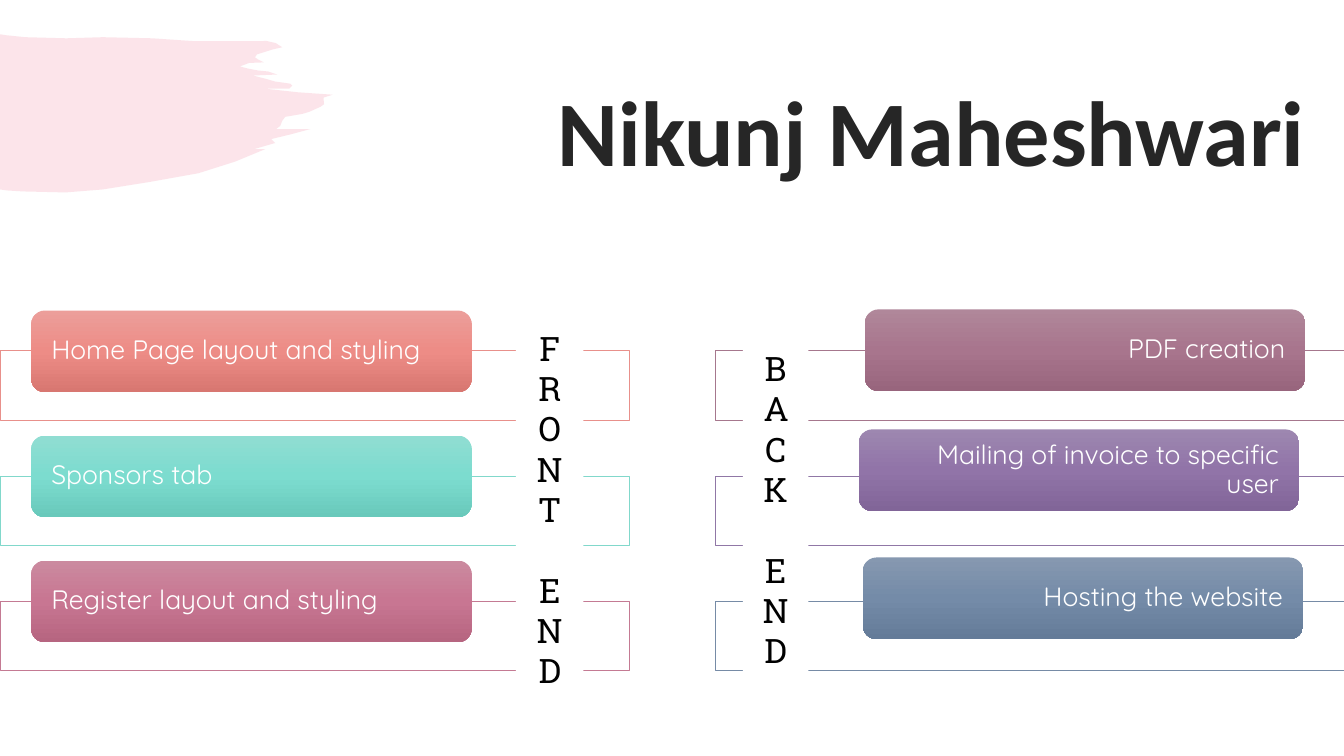
import copy

import lxml.etree
import pptx
import pptx.dml.color
import pptx.enum.shapes
import pptx.enum.text
import pptx.oxml.ns
import pptx.util

Pt = pptx.util.Pt
SHAPE = pptx.enum.shapes.MSO_SHAPE
ALIGN = pptx.enum.text.PP_ALIGN
ANCHOR = pptx.enum.text.MSO_ANCHOR
qn = pptx.oxml.ns.qn

# Content
TITLE = "Nikunj Maheshwari"

# Each side: frame left, alignment, then cards as
# (text, card left, card top, frame line, gradient from top to bottom)
SIDES = [
    (0, ALIGN.LEFT, [
        ("Home Page layout and styling", 22.3, 221.8, "E8908B", ("EC9E9A", "ED8C86", "D87771")),
        ("Sponsors tab", 22.3, 311.1, "81D8CB", ("90DDD2", "7CDCCF", "69C9BB")),
        ("Register layout and styling", 22.3, 400.4, "C47A93", ("CB8A9F", "C87692", "B66580")),
    ]),
    (511.2, ALIGN.RIGHT, [
        ("PDF creation", 617.8, 221, "A6778D", ("B0879A", "A8758D", "98657D")),
        ("Mailing of invoice to specific user", 613.4, 306.7, "9077A6", ("9D87B0", "9174A8", "816598")),
        ("Hosting the website", 616.3, 398.2, "768BA6", ("8698B0", "748BA8", "647B98")),
    ]),
]

# Vertical labels: text, left, width
LABELS = [("FRONT END", 368.6, 48.2), ("BACK END", 530.6, 46.8)]

# Outline of the brush stroke
BRUSH = [
    (0, 24.5), (4.3, 25.2), (18, 26.6), (47.5, 27.4), (73.4, 26.6), (108.7, 27.4),
    (139.7, 29.5), (178.6, 29.5), (190.4, 29.3), (197, 30.8), (201.6, 33.8),
    (195.1, 35.3), (183.6, 38.9), (182.2, 41), (184.3, 42.5), (188.6, 44.6),
    (178, 45), (171.4, 47.5), (177.1, 49), (184.3, 50.4), (191.5, 51.1), (198, 53.3),
    (180.7, 54), (189.4, 56.2), (196.6, 58.3), (201.6, 59), (207.4, 59.8),
    (208.8, 61.2), (206.6, 63.4), (204.5, 63.4), (189.4, 63.4), (213.1, 66),
    (237.6, 67.7), (231.1, 69.8), (231.5, 74.5), (229, 76.3), (221, 79.9),
    (216, 81.4), (203.8, 83.5), (201.6, 86.4), (200.2, 90), (197.3, 92.2),
    (221.8, 92.2), (207.7, 96), (193.7, 99.4), (196.6, 102.2), (181.4, 106.6),
    (189.4, 106.6), (168, 115.5), (141.8, 123.8), (106.6, 130.1), (73.4, 135.4),
    (46.8, 137.5), (16.6, 136.8), (5, 136.1), (0, 135.4),
]

FRAME_TOP, FRAME_PITCH, FRAME_W, FRAME_H = 250.6, 89.3, 449.3, 49.7
CARD_W, CARD_H, CARD_INSET = 314.6, 58.3, 11.5
LABEL_TOP, LABEL_H = 198.7, 329.8


def rgb(color):
    return pptx.dml.color.RGBColor.from_string(color)


def paint(sp, color, opacity=100):
    sp.shadow.inherit = False
    sp.fill.solid()
    sp.fill.fore_color.rgb = rgb(color)
    if opacity < 100:
        clr = sp._element.spPr.find(qn("a:solidFill"))[0]
        lxml.etree.SubElement(clr, qn("a:alpha"), val=str(opacity * 1000))


def paint_gradient(sp, colors):
    sp.shadow.inherit = False
    sp.fill.gradient()
    sp.fill.gradient_angle = 270
    first = sp._element.spPr.find(".//" + qn("a:gs"))
    first.addnext(copy.deepcopy(first))
    for i, (stop, color) in enumerate(zip(sp.fill.gradient_stops, colors)):
        stop.position = i / (len(colors) - 1)
        stop.color.rgb = rgb(color)


def write(tf, text, size, font, color, align, bold=False):
    tf.word_wrap = True
    p = tf.paragraphs[0]
    p.alignment = align
    r = p.add_run()
    r.text = text
    r.font.size, r.font.name, r.font.bold = Pt(size), font, bold
    r.font.color.rgb = rgb(color)
    return p


def add_box(s, kind, left, top, width, height):
    return s.shapes.add_shape(kind, Pt(left), Pt(top), Pt(width), Pt(height))


prs = pptx.Presentation()
prs.slide_width, prs.slide_height = Pt(960), Pt(540)
s = prs.slides.add_slide(prs.slide_layouts[5])

# Brush stroke
builder = s.shapes.build_freeform(Pt(BRUSH[0][0]), Pt(BRUSH[0][1]))
builder.add_line_segments([(Pt(x), Pt(y)) for x, y in BRUSH[1:]], close=True)
brush = builder.convert_to_shape()
paint(brush, "F07C98", 20)
brush.line.fill.background()

# Frames and cards
for frame_left, align, cards in SIDES:
    for row, (text, left, top, line, gradient) in enumerate(cards):
        frame = add_box(s, SHAPE.RECTANGLE, frame_left, FRAME_TOP + row * FRAME_PITCH,
                        FRAME_W, FRAME_H)
        paint(frame, "FFFFFF", 90)
        frame.line.color.rgb = rgb(line)
        frame.line.width = Pt(0.5)

        card = add_box(s, SHAPE.ROUNDED_RECTANGLE, left, top, CARD_W, CARD_H)
        paint_gradient(card, gradient)
        card.line.fill.background()
        tf = card.text_frame
        tf.margin_left = tf.margin_right = Pt(CARD_INSET)
        tf.margin_top = tf.margin_bottom = 0
        tf.vertical_anchor = ANCHOR.MIDDLE
        p = write(tf, text, 19, "Quicksand", "FFFFFF", align)
        p.line_spacing = 0.9

# Title
title = s.shapes.title
title.left, title.top, title.width, title.height = Pt(120.2), Pt(49), Pt(819.4), Pt(87.1)
title.text_frame.auto_size = pptx.enum.text.MSO_AUTO_SIZE.NONE
title.text_frame.vertical_anchor = ANCHOR.TOP
write(title.text_frame, TITLE, 66, "Calibri", "262626", ALIGN.RIGHT, bold=True)

# Vertical labels
for text, left, width in LABELS:
    label = add_box(s, SHAPE.RECTANGLE, left, LABEL_TOP, width, LABEL_H)
    paint(label, "FFFFFF")
    label.line.fill.background()
    label.text_frame._txBody.bodyPr.set("vert", "wordArtVert")
    write(label.text_frame, text, 24, "Roboto Slab", "000000", ALIGN.CENTER)

prs.save("out.pptx")
